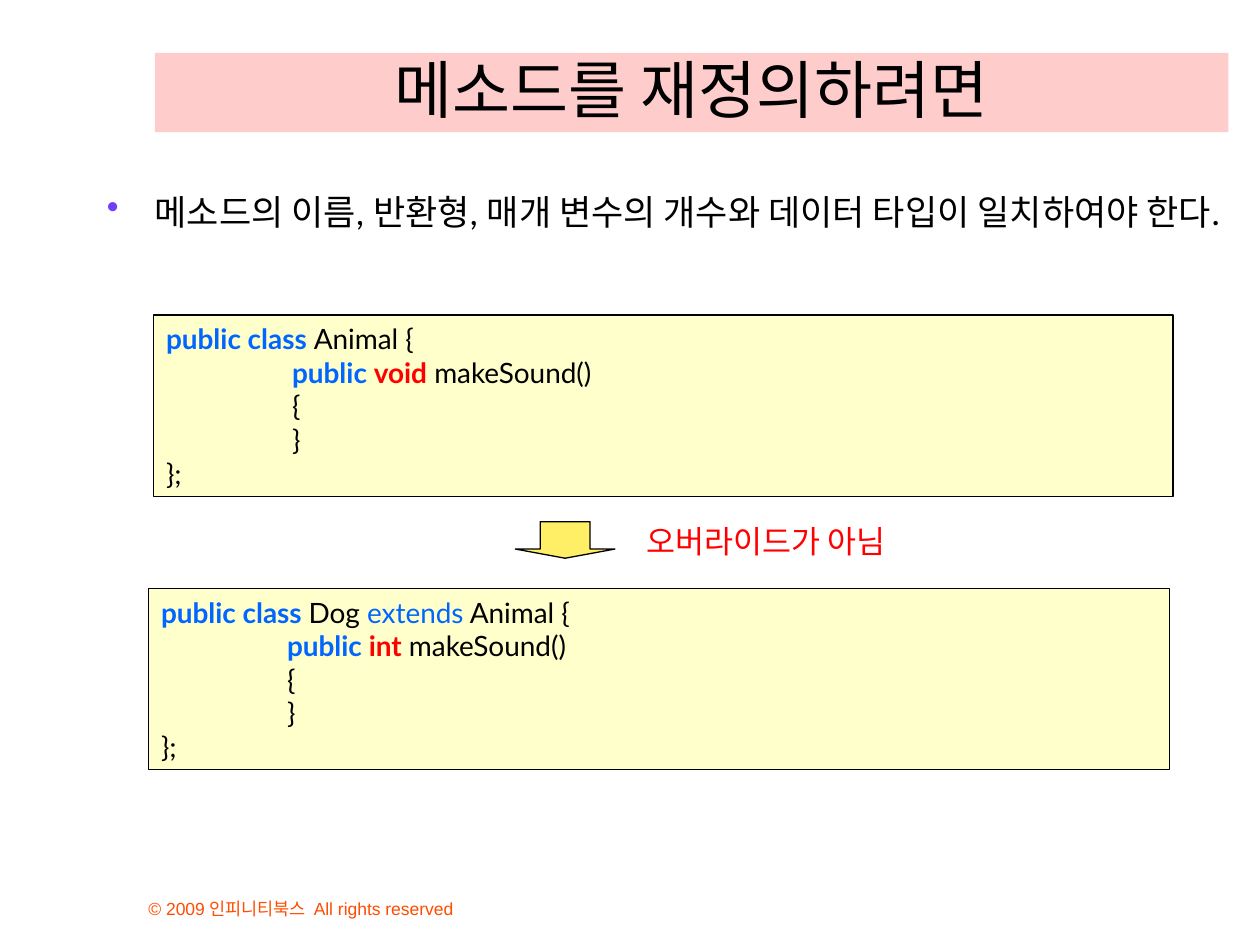
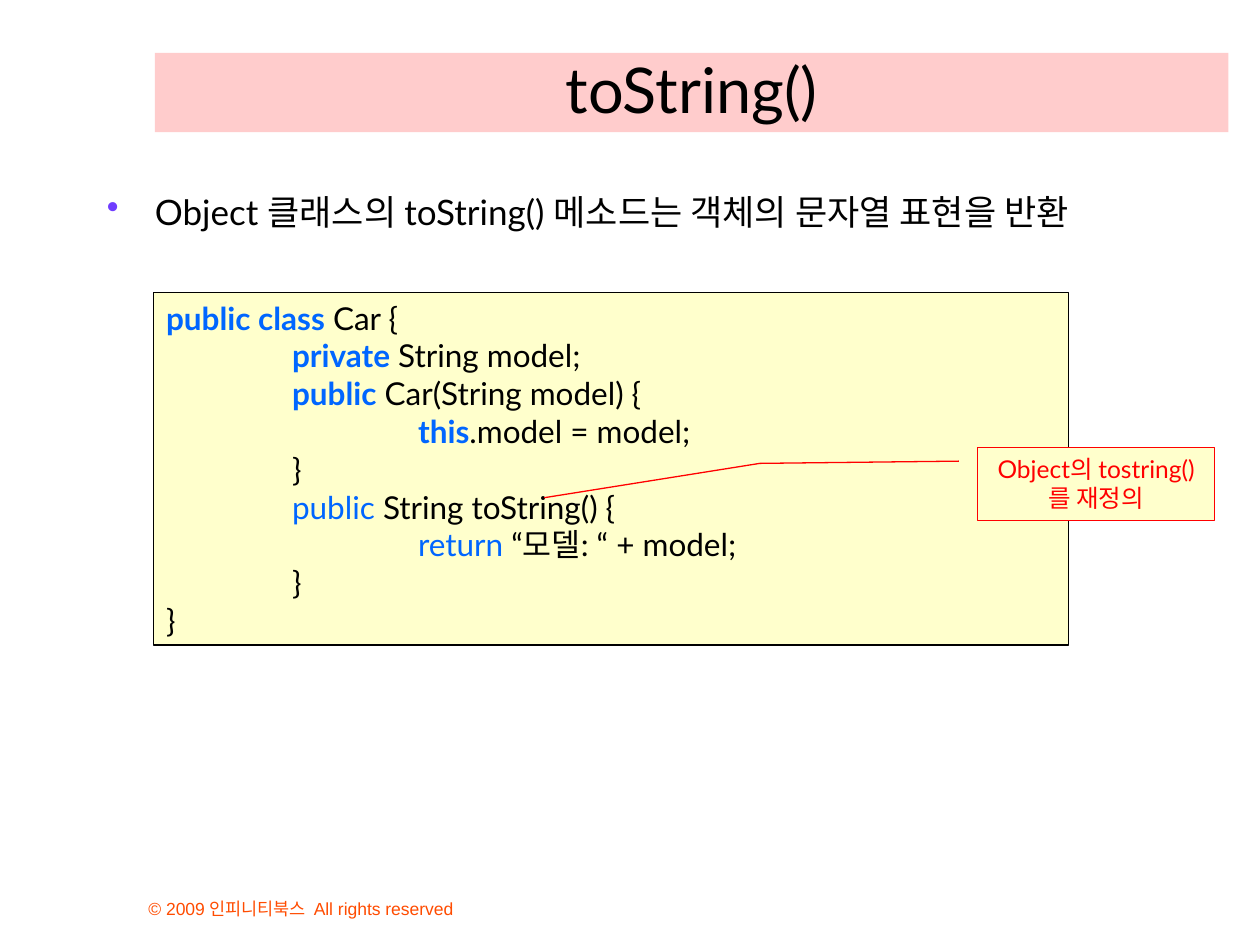
from pptx import Presentation
from pptx.dml.color import RGBColor
from pptx.enum import shapes, text
from pptx.oxml import parse_xml
from pptx.oxml.ns import nsdecls, qn
from pptx.util import Inches, Pt

COLORS = {
    "ink": "000000", "band": "FFCCCC", "code": "FFFFCC", "arrow": "FFEF66",
    "keyword": "0066FF", "alert": "FF0000", "bullet": "703DFF", "footer": "FF4C00",
}
# Code styles: colour and bold
STYLES = {
    "plain": ("ink", False), "key": ("keyword", True),
    "word": ("keyword", False), "type": ("alert", True),
}
FOOTER = "© 2009 인피니티북스  All rights reserved"
COLUMNS, ROWS = 100, 75
TAB_STOPS = range(1, 8)


def rgb(name):
    return RGBColor.from_string(COLORS[name])


class Lecture:
    """Holds the deck, its style and the current page."""

    def __init__(self):
        self.deck = Presentation()
        self.deck.slide_width, self.deck.slide_height = Inches(10), Inches(7.5)
        self.page = None

    def place(self, column, row, width=0, height=0):
        across = self.deck.slide_width / COLUMNS
        down = self.deck.slide_height / ROWS
        return (round(column * across), round(row * down),
                round(width * across), round(height * down))

    def new_page(self, title, point):
        self.page = self.deck.slides.add_slide(self.deck.slide_layouts[6])
        self.label(FOOTER, (10.8, 69.2, 38.3, 4.2), 10, "footer", "Arial",
                   anchor=text.MSO_ANCHOR.BOTTOM)
        band = self.shape(shapes.MSO_SHAPE.RECTANGLE, (12.3, 4.2, 85.2, 6.3), "band")
        self.put_text(band, title, 36, anchor=text.MSO_ANCHOR.BOTTOM,
                      align=text.PP_ALIGN.CENTER)
        self.bullet(point)

    def span(self, para, words, size, color="ink", font="Lato", bold=False):
        span = para.add_run()
        span.text = words
        span.font.size, span.font.name, span.font.bold = Pt(size), font, bold
        span.font.color.rgb = rgb(color)

    def put_text(self, box, words, size, color="ink", font="Lato",
                 anchor=text.MSO_ANCHOR.TOP, align=text.PP_ALIGN.LEFT, wrap=True):
        frame = box.text_frame
        frame.word_wrap, frame.vertical_anchor = wrap, anchor
        para = frame.paragraphs[0]
        para.alignment = align
        self.span(para, words, size, color, font)
        return para

    def label(self, words, area, size, color="ink", font="Lato", **layout):
        box = self.page.shapes.add_textbox(*self.place(*area))
        return self.put_text(box, words, size, color, font, **layout)

    def bullet(self, words):
        para = self.label(words, (7.5, 14.6, 89.8, 45.4), 20)
        settings = para._p.get_or_add_pPr()
        settings.set("marL", str(Inches(0.38)))
        settings.set("indent", str(-Inches(0.38)))
        settings.append(parse_xml(
            f'<a:buClr {nsdecls("a")}><a:srgbClr val="{COLORS["bullet"]}"/></a:buClr>'))
        settings.append(parse_xml(f'<a:buChar {nsdecls("a")} char="•"/>'))

    def shape(self, kind, area, fill, line=None, adjustments=()):
        shape = self.page.shapes.add_shape(kind, *self.place(*area))
        shape.shadow.inherit = False
        shape.fill.solid()
        shape.fill.fore_color.rgb = rgb(fill)
        if line:
            shape.line.color.rgb, shape.line.width = rgb(line), Pt(0.75)
        else:
            shape.line.fill.background()
        for index, value in enumerate(adjustments):
            shape.adjustments[index] = value
        return shape

    def code(self, area, size, lines):
        """Each line is its tab depth followed by (style, words) pairs."""
        box = self.shape(shapes.MSO_SHAPE.RECTANGLE, area, "code", "ink")
        frame = box.text_frame
        frame.word_wrap, frame.vertical_anchor = True, text.MSO_ANCHOR.MIDDLE
        stops = "".join(f'<a:tab pos="{Inches(stop)}" algn="l"/>' for stop in TAB_STOPS)
        for number, (depth, *parts) in enumerate(lines):
            para = frame.add_paragraph() if number else frame.paragraphs[0]
            para.alignment = text.PP_ALIGN.LEFT
            para._p.get_or_add_pPr().append(
                parse_xml(f'<a:tabLst {nsdecls("a")}>{stops}</a:tabLst>'))
            for index, (style, words) in enumerate(parts):
                color, bold = STYLES[style]
                indent = "" if index else "\t" * depth
                self.span(para, indent + words, size, color, bold=bold)

    def arrow_tip(self, column, row):
        left, top, _, _ = self.place(column, row)
        line = self.page.shapes.add_connector(
            shapes.MSO_CONNECTOR.STRAIGHT, left, top, left, top)
        line.line.color.rgb, line.line.width = rgb("ink"), Pt(0.75)
        line.get_or_add_ln().append(
            parse_xml(f'<a:tailEnd {nsdecls("a")} type="triangle"/>'))
        line._element.find(qn("p:spPr")).append(parse_xml(f'<a:effectLst {nsdecls("a")}/>'))

    def callout(self, words, area, adjustments):
        box = self.shape(shapes.MSO_SHAPE.LINE_CALLOUT_2, area, "code", "alert", adjustments)
        self.put_text(box, words, 14, "alert", align=text.PP_ALIGN.CENTER)


def sound_class(heading, returned):
    """Class listing whose makeSound() has the given return type."""
    return [
        (0, ("key", "public class "), *heading),
        (1, ("key", "public "), ("type", returned), ("plain", " makeSound()")),
        (1, ("plain", "{")),
        (1, ("plain", "}")),
        (0, ("plain", "};")),
    ]


def overriding_page(lecture):
    lecture.new_page("메소드를 재정의하려면",
                     "메소드의 이름, 반환형, 매개 변수의 개수와 데이터 타입이 일치하여야 한다.")
    # Parent and child classes
    lecture.code((12.2, 25, 80.9, 14.4), 16,
                 sound_class([("plain", "Animal {")], "void"))
    lecture.code((11.8, 46.7, 81, 14.4), 16,
                 sound_class([("plain", "Dog "), ("word", "extends"),
                              ("plain", " Animal {")], "int"))
    # Arrow between them
    lecture.arrow_tip(42.8, 41.3)
    lecture.shape(shapes.MSO_SHAPE.DOWN_ARROW, (40.9, 41.4, 7.9, 2.9),
                  "arrow", "ink", (0.5, 0.25))
    lecture.label("오버라이드가 아님", (50.3, 40.9, 21.1, 4), 18, "alert",
                  "Comic Neue", wrap=False)


def to_string_page(lecture):
    lecture.new_page("toString()",
                     "Object 클래스의 toString() 메소드는 객체의 문자열 표현을 반환")
    # Class with an overridden method
    lecture.code((12.2, 23.2, 72.6, 28), 18, [
        (0, ("key", "public class"), ("plain", " Car {")),
        (1, ("key", "private"), ("plain", " String model;")),
        (1, ("key", "public"), ("plain", " Car(String model) {")),
        (2, ("key", "this"), ("plain", ".model = model;")),
        (1, ("plain", "}")),
        (1, ("word", "public"), ("plain", " String toString() {")),
        (2, ("word", "return"), ("plain", " “모델: “ + model;")),
        (1, ("plain", "}")),
        (0, ("plain", "}")),
    ])
    # Pointer to the method
    lecture.callout("Object의 tostring()를 재정의", (77.6, 35.5, 18.8, 5.8),
                    (0.19, -0.08, 0.22, -0.92, 0.69, -1.83))


def main():
    lecture = Lecture()
    overriding_page(lecture)
    to_string_page(lecture)
    lecture.deck.save("out.pptx")


if __name__ == "__main__":
    main()
